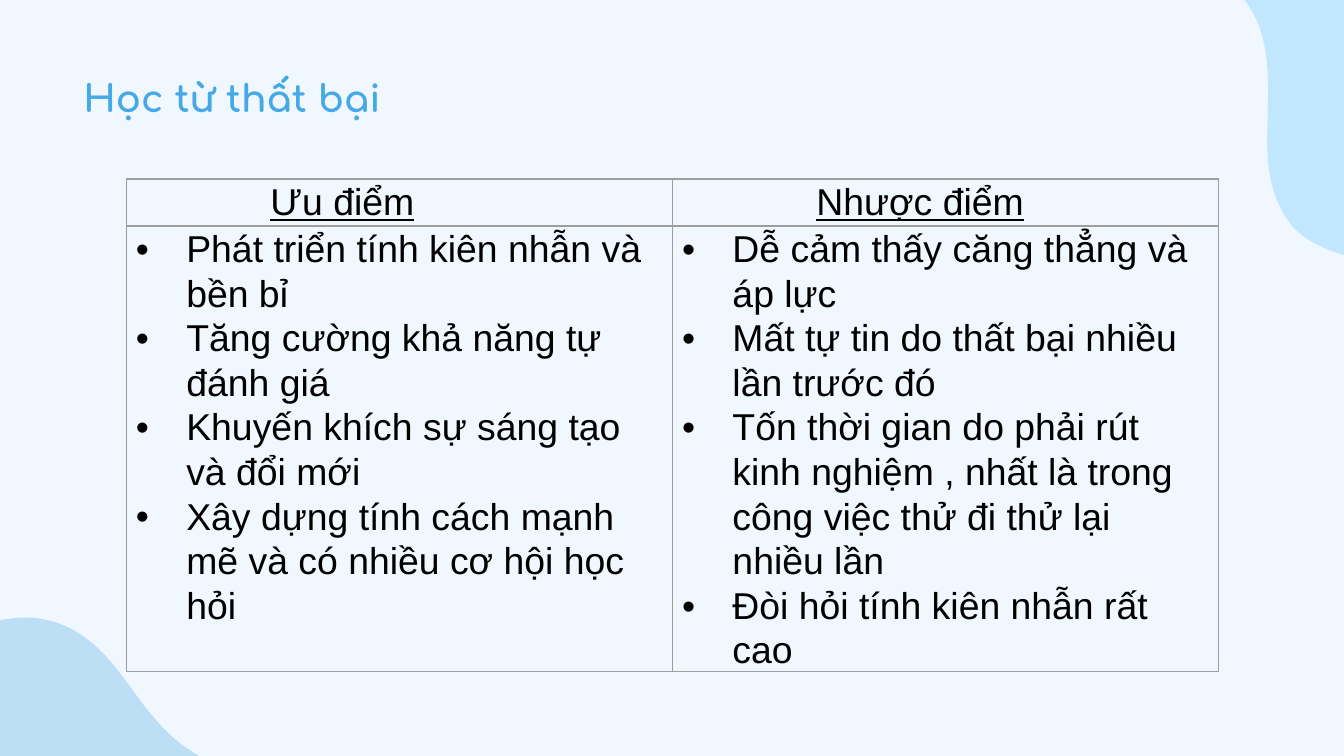
from dataclasses import dataclass

from lxml import etree
from pptx import Presentation
from pptx.dml.color import RGBColor
from pptx.enum.text import MSO_ANCHOR, PP_ALIGN
from pptx.oxml import parse_xml
from pptx.oxml.ns import nsdecls, qn
from pptx.util import Pt

LEFT = PP_ALIGN.LEFT
MIDDLE = MSO_ANCHOR.MIDDLE

BACKGROUND = RGBColor(0xF0, 0xF7, 0xFE)
ACCENT = RGBColor(0x46, 0xA9, 0xE7)
BLACK = RGBColor(0x00, 0x00, 0x00)
BORDER = RGBColor(0x9E, 0x9E, 0x9E)
SOFT_BLUE = RGBColor(0xBC, 0xDF, 0xF6)
LIGHT_BLUE = RGBColor(0xC1, 0xE7, 0xFF)

WIDTH, HEIGHT = 720, 405
BODY_FONT = "Arial"
TITLE_FONT = "Comfortaa"
FONT_SIZE = Pt(20)

Point = tuple[float, float]


@dataclass(frozen=True)
class Blob:
    color: RGBColor
    start: Point
    curves: list[tuple[Point, Point, Point]]
    corner: Point


@dataclass(frozen=True)
class Column:
    heading: str
    items: list[str]
    space_after: float


BLOBS = [
    Blob(SOFT_BLUE, (208.8, 459.4), [
        ((205.9, 450.7), (195.1, 432), (180, 425.5)),
        ((161.3, 418.3), (121, 420.5), (92.2, 394.6)),
        ((83.5, 386.6), (76.3, 377.3), (69.8, 367.9)),
        ((62.6, 358.6), (56.2, 349.2), (46.1, 342)),
        ((11.5, 316.1), (-24.5, 342), (-58.3, 355)),
        ((-77.8, 361.4), (-97.9, 363.6), (-117.4, 355)),
        ((-134.6, 347), (-141.1, 333.4), (-147.6, 317.5)),
    ], (-149.8, 444.2)),
    Blob(LIGHT_BLUE, (648, -18), [
        ((659.5, -9.4), (669.6, 0.7), (674.6, 14.4)),
        ((681.1, 32.4), (679, 51.8), (679, 70.6)),
        ((678.2, 89.3), (681.1, 109.4), (694.1, 123.1)),
        ((708.5, 136.8), (730.1, 138.2), (748.1, 145.4)),
    ], (748.1, -18)),
]

COLUMNS = [
    Column("Ưu điểm", [
        "Phát triển tính kiên nhẫn và bền bỉ",
        "Tăng cường khả năng tự đánh giá",
        "Khuyến khích sự sáng tạo và đổi mới",
        "Xây dựng tính cách mạnh mẽ và có nhiều cơ hội học hỏi",
    ], 0),
    Column("Nhược điểm", [
        "Dễ cảm thấy căng thẳng và áp lực",
        "Mất tự tin do thất bại nhiều lần trước đó",
        "Tốn thời gian do phải rút kinh nghiệm , nhất là trong công việc "
        "thử đi thử lại nhiều lần",
        "Đòi hỏi tính kiên nhẫn rất cao",
    ], 8),
]


def bend_lines(sp, curve_count: int) -> None:
    lines = list(sp._element.iter(qn("a:lnTo")))
    for i in range(curve_count):
        first, *others = lines[3 * i:3 * i + 3]
        curve = etree.Element(qn("a:cubicBezTo"))
        first.addprevious(curve)
        for line in (first, *others):
            curve.append(line[0])
            line.getparent().remove(line)


def draw_blob(s, blob: Blob) -> None:
    points = [point for curve in blob.curves for point in curve] + [blob.corner]
    builder = s.shapes.build_freeform(Pt(blob.start[0]), Pt(blob.start[1]))
    builder.add_line_segments([(Pt(x), Pt(y)) for x, y in points], close=True)
    sp = builder.convert_to_shape()
    bend_lines(sp, len(blob.curves))
    sp.shadow.inherit = False
    sp.fill.solid()
    sp.fill.fore_color.rgb = blob.color
    sp.line.fill.background()


def format_title(s, text: str) -> None:
    sp = s.shapes.title
    sp.left, sp.top, sp.width, sp.height = Pt(37.5), Pt(29.5), Pt(300), Pt(45.4)
    tf = sp.text_frame
    tf.vertical_anchor = MIDDLE
    tf.margin_left = tf.margin_right = Pt(7.2)
    tf.margin_top = tf.margin_bottom = Pt(7.2)
    p = tf.paragraphs[0]
    p.alignment = LEFT
    r = p.add_run()
    r.text = text
    r.font.name = TITLE_FONT
    r.font.size = FONT_SIZE
    r.font.bold = True
    r.font.color.rgb = ACCENT


def format_cell(cell) -> None:
    cell.margin_left = cell.margin_right = Pt(5.2)
    cell.margin_top = cell.margin_bottom = Pt(0)
    tcPr = cell._tc.get_or_add_tcPr()
    for side in "LRTB":
        tcPr.append(parse_xml(
            f'<a:ln{side} {nsdecls("a")} w="{Pt(0.75)}"><a:solidFill>'
            f'<a:srgbClr val="{BORDER}"/></a:solidFill></a:ln{side}>'))
    cell.fill.background()


def fill_cell(cell, texts: list[str], indent: float, bulleted: bool,
              space_after: float) -> None:
    format_cell(cell)
    tf = cell.text_frame
    for i, text in enumerate(texts):
        p = tf.add_paragraph() if i else tf.paragraphs[0]
        p.alignment = LEFT
        p.line_spacing = 1.07
        p.space_after = Pt(space_after if i == len(texts) - 1 else 0)
        pPr = p._p.get_or_add_pPr()
        pPr.set("marL", str(Pt(indent)))
        pPr.set("indent", str(Pt(-indent) if bulleted else 0))
        if bulleted:
            for xml in (f'<a:buClr {nsdecls("a")}><a:srgbClr val="{BLACK}"/></a:buClr>',
                        f'<a:buFont {nsdecls("a")} typeface="{BODY_FONT}"/>',
                        f'<a:buChar {nsdecls("a")} char="•"/>'):
                pPr.append(parse_xml(xml))
        r = p.add_run()
        r.text = text
        r.font.name = BODY_FONT
        r.font.size = FONT_SIZE
        r.font.color.rgb = BLACK
        r.font.underline = not bulleted


def draw_table(s, columns: list[Column]) -> None:
    table = s.shapes.add_table(2, len(columns), Pt(67.6), Pt(95.9),
                               Pt(585.2), Pt(236.9)).table
    table.first_row = table.horz_banding = False
    table.rows[0].height = Pt(25.2)
    table.rows[1].height = Pt(211.7)
    for i, column in enumerate(columns):
        table.columns[i].width = Pt(292.6)
        fill_cell(table.cell(0, i), [column.heading], 72, False, column.space_after)
        fill_cell(table.cell(1, i), column.items, 27, True, column.space_after)


def main() -> None:
    prs = Presentation()
    prs.slide_width, prs.slide_height = Pt(WIDTH), Pt(HEIGHT)
    s = prs.slides.add_slide(prs.slide_layouts[5])
    s.background.fill.solid()
    s.background.fill.fore_color.rgb = BACKGROUND
    for blob in BLOBS:
        draw_blob(s, blob)
    draw_table(s, COLUMNS)
    format_title(s, "Học từ thất bại")
    prs.save("out.pptx")


if __name__ == "__main__":
    main()
